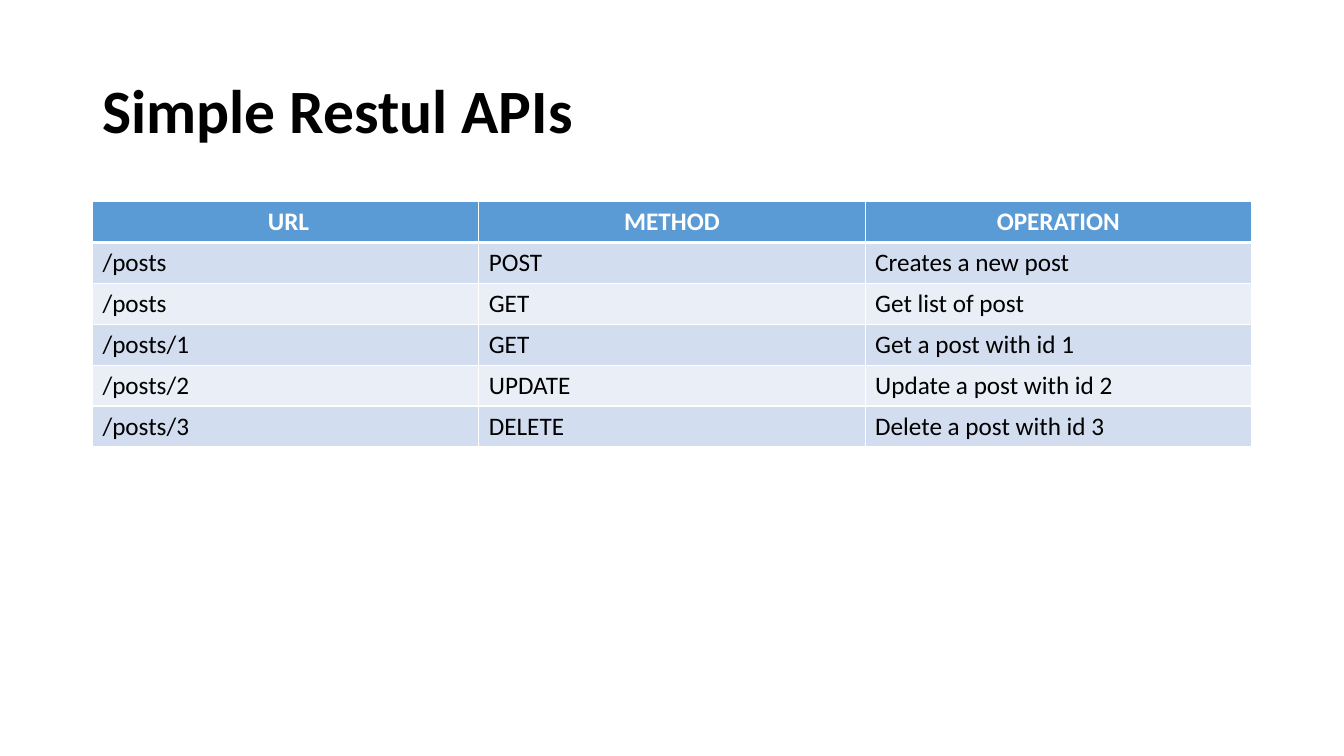
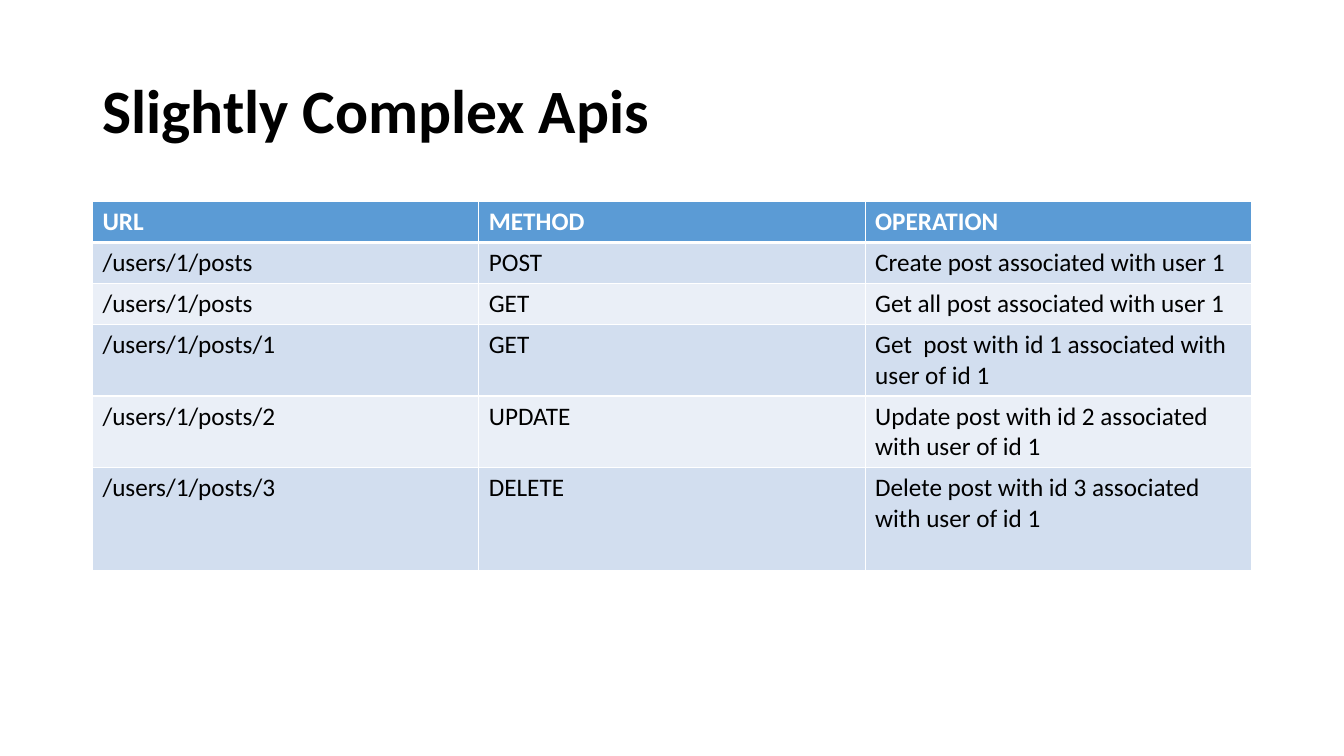
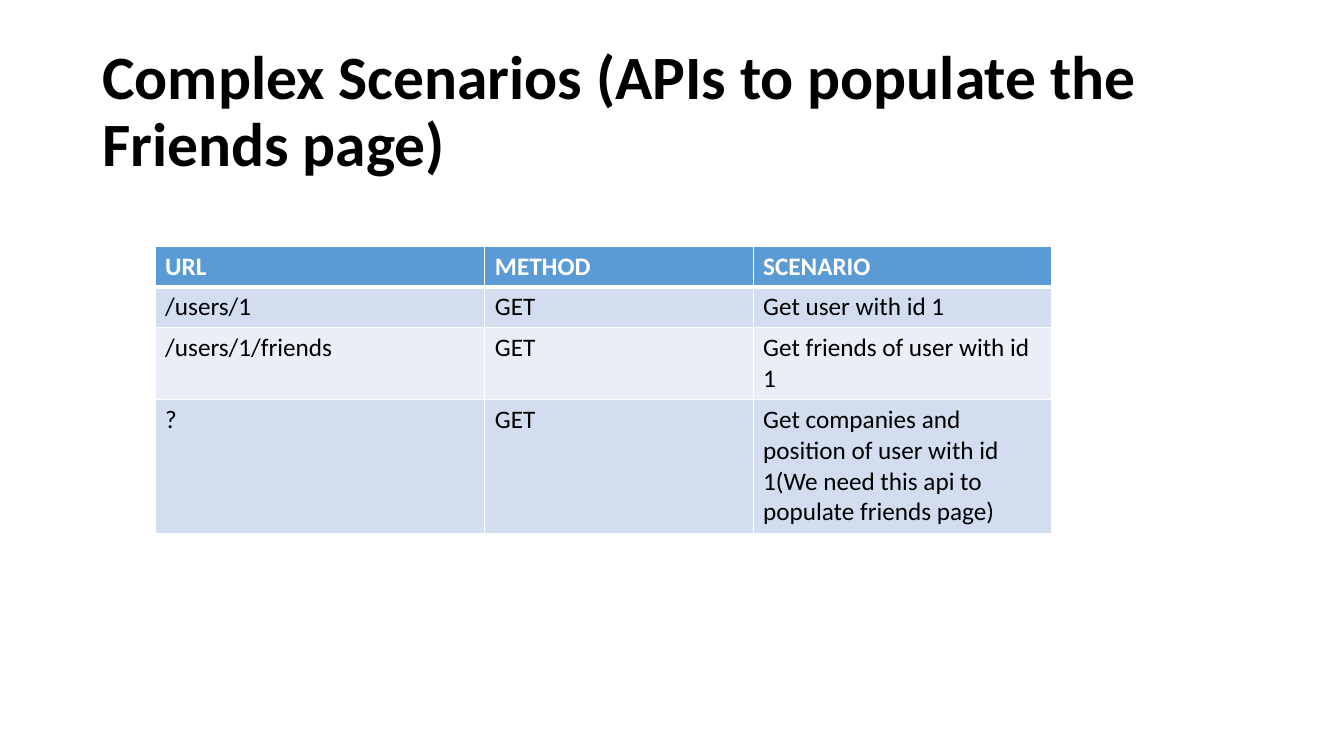
"""Build three slides of REST endpoint tables."""
from lxml.etree import SubElement as Sub
from pptx import Presentation
from pptx.dml.color import RGBColor as Rgb
from pptx.enum.text import MSO_ANCHOR as Anchor, PP_ALIGN as Align
from pptx.oxml.ns import qn
from pptx.util import Cm, Pt

HUES = {"head": "5B9BD5", "odd": "D2DEEF", "even": "EAEFF7", "ink": "000000", "white": "FFFFFF"}
FONT = "Calibri"
LEFT, WIDE = 2.33, 29.21
PAD, LINE = 0.25, 0.78

SLIDES = [
    {
        "title": "Simple Restul APIs",
        "at": (LEFT, 5.08),
        "cols": [WIDE / 3] * 3,
        "lines": [1] * 6,
        "align": Align.CENTER,
        "rows": [
            (" URL", "METHOD", "OPERATION"),
            ("/posts", "POST", "Creates a new post"),
            ("/posts", "GET", "Get list of post"),
            ("/posts/1", "GET", "Get a post with id 1"),
            ("/posts/2", "UPDATE", "Update a post with id 2"),
            ("/posts/3", "DELETE", "Delete a post with id 3"),
        ],
    },
    {
        "title": "Slightly Complex Apis",
        "at": (LEFT, 5.08),
        "cols": [WIDE / 3] * 3,
        "lines": [1, 1, 1, 2, 2, 3],
        "align": Align.LEFT,
        "rows": [
            ("URL", "METHOD", "OPERATION"),
            ("/users/1/posts", "POST", "Create post associated with user 1"),
            ("/users/1/posts", "GET", "Get all post associated with user 1"),
            ("/users/1/posts/1", "GET", "Get  post with id 1 associated with user of id 1"),
            ("/users/1/posts/2", "UPDATE", "Update post with id 2 associated with user of id 1"),
            ("/users/1/posts/3", "DELETE", "Delete post with id 3 associated with user of id 1"),
        ],
    },
    {
        "title": "Complex Scenarios (APIs to populate the Friends page)",
        "at": (3.91, 6.2),
        "cols": [8.31, 6.76, 7.52],
        "lines": [1, 1, 2, 4],
        "align": Align.LEFT,
        "rows": [
            ("URL", "METHOD", "SCENARIO"),
            ("/users/1", "GET", "Get user with id 1"),
            ("/users/1/friends", "GET", "Get friends of user with id 1"),
            ("?", "GET", "Get companies and position of user with id 1"
                         "(We need this api to populate friends page)"),
        ],
    },
]


def write(frame, text, size=18, hue="ink", bold=False, align=Align.LEFT, space=1.0):
    """Put formatted text in a text frame."""
    para = frame.paragraphs[0]
    para.alignment, para.line_spacing = align, space
    run = para.add_run()
    run.text = text
    font = run.font
    font.name, font.size, font.bold = FONT, Pt(size), bold
    font.color.rgb = Rgb.from_string(HUES[hue])


def edge(cell, **widths):
    """Draw white cell borders with the given widths in points."""
    props = cell._tc.get_or_add_tcPr()
    for side, width in widths.items():
        line = Sub(props, qn(f"a:ln{side}"), w=str(Pt(width)))
        fill = Sub(line, qn("a:solidFill"))
        Sub(fill, qn("a:srgbClr"), val=HUES["white"])


def add_title(slide, text):
    """Add the shared slide title."""
    frame = slide.shapes.add_textbox(Cm(LEFT), Cm(1.01), Cm(WIDE), Cm(3.68)).text_frame
    frame.word_wrap = True
    frame.vertical_anchor = Anchor.MIDDLE
    write(frame, text, size=44, bold=True, space=0.9)


def add_grid(slide, at, cols, lines, rows, align):
    """Add a table with a header row and banded body rows."""
    highs = [PAD + LINE * count for count in lines]
    box = [Cm(n) for n in (*at, sum(cols), sum(highs))]
    table = slide.shapes.add_table(len(rows), len(cols), *box).table
    for col, width in zip(table.columns, cols):
        col.width = Cm(width)
    for i, (row, high, texts) in enumerate(zip(table.rows, highs, rows)):
        row.height = Cm(high)
        head = i == 0
        band = "head" if head else "odd" if i % 2 else "even"
        for cell, text in zip(row.cells, texts):
            edge(cell, L=1, R=1, T=3 if i == 1 else 1, B=3 if head else 1)
            cell.fill.solid()
            cell.fill.fore_color.rgb = Rgb.from_string(HUES[band])
            write(cell.text_frame, text, hue="white" if head else "ink", bold=head,
                  align=align if head else Align.LEFT)


deck = Presentation()
deck.slide_width, deck.slide_height = Cm(33.87), Cm(19.05)
for page in SLIDES:
    slide = deck.slides.add_slide(deck.slide_layouts[6])
    add_title(slide, page["title"])
    add_grid(slide, page["at"], page["cols"], page["lines"], page["rows"], page["align"])
deck.save("out.pptx")
